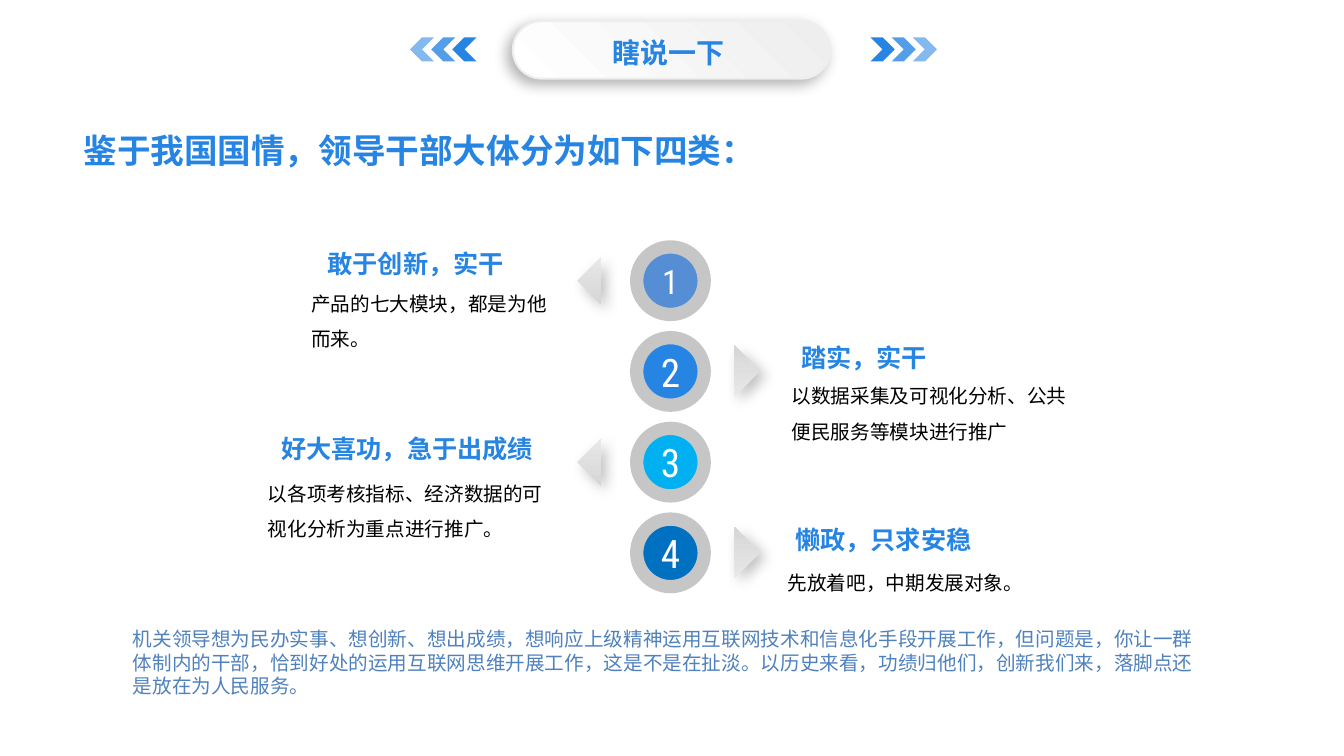
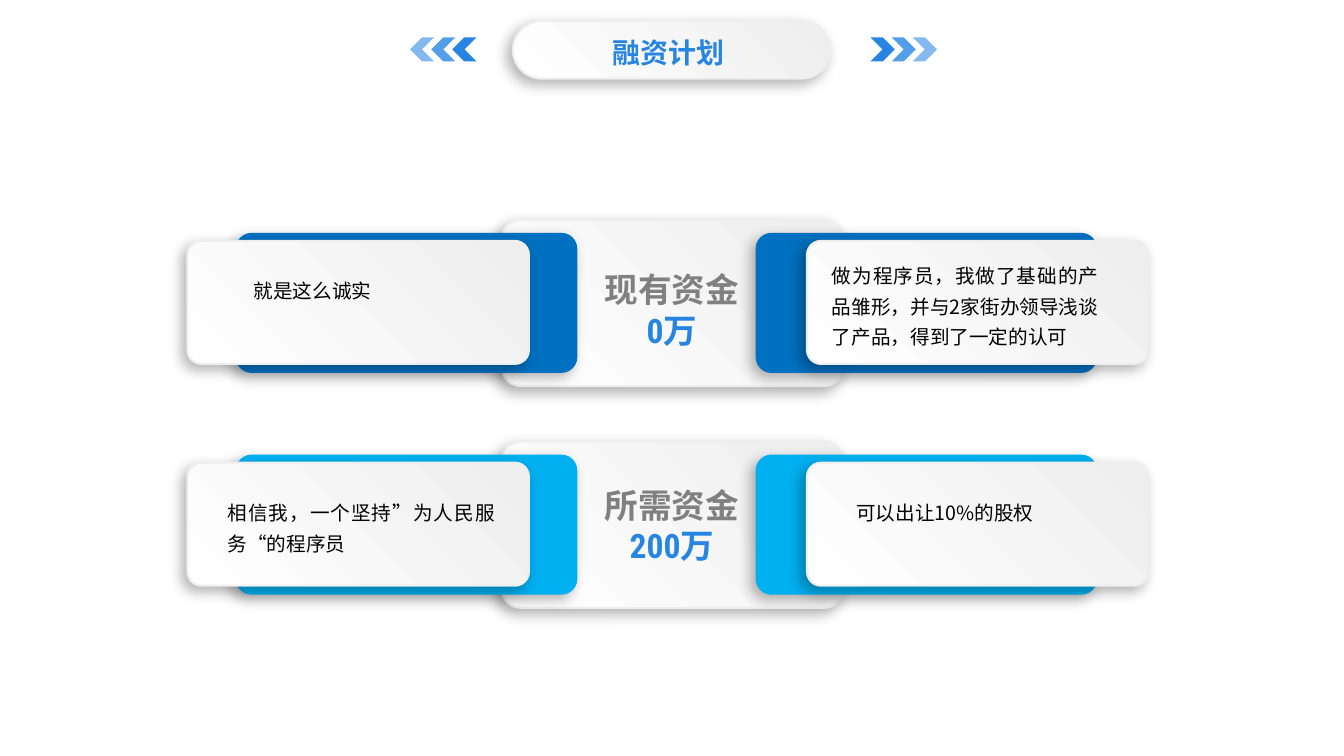
from dataclasses import dataclass

from lxml import etree
from pptx import Presentation
from pptx.dml.color import RGBColor
from pptx.enum.lang import MSO_LANGUAGE_ID
from pptx.enum.shapes import MSO_SHAPE
from pptx.enum.text import MSO_ANCHOR, MSO_AUTO_SIZE, PP_ALIGN
from pptx.oxml.ns import qn
from pptx.util import Emu, Inches, Pt

ROUND, CHEVRON = MSO_SHAPE.ROUNDED_RECTANGLE, MSO_SHAPE.CHEVRON
OVAL, WEDGE = MSO_SHAPE.OVAL, MSO_SHAPE.RIGHT_TRIANGLE
LEFT, MID, RIGHT, FULL = PP_ALIGN.LEFT, PP_ALIGN.CENTER, PP_ALIGN.RIGHT, PP_ALIGN.JUSTIFY
TOP, CENTER = MSO_ANCHOR.TOP, MSO_ANCHOR.MIDDLE
FIT, FIXED = MSO_AUTO_SIZE.SHAPE_TO_FIT_TEXT, MSO_AUTO_SIZE.NONE
CHINESE = MSO_LANGUAGE_ID.SIMPLIFIED_CHINESE


@dataclass(frozen=True)
class Theme:
    blue: str = "2684E2"
    soft: str = "558ED5"
    sky: str = "00B0F0"
    deep: str = "0070C0"
    note: str = "4F81BD"
    gray: str = "808080"
    ring: str = "C6C6C6"
    edge: str = "EEEEEE"
    white: str = "FFFFFF"
    black: str = "000000"
    card: tuple = ("EEEEEE", "FFFFFF", 135)
    wedge: tuple = ("E8E8E8", "D6D6D6", 45)
    cjk: str = "Noto Sans CJK SC"
    latin: str = "Roboto"
    narrow: str = "Roboto Condensed"
    plain: str = "Calibri"
    lead: int = 24
    title: int = 20
    head: int = 18
    body: int = 14
    digit: int = 28


T = Theme()
SLIM = (0.07, 0.04)

LEAD = "鉴于我国国情，领导干部大体分为如下四类："
NOTE = ("机关领导想为民办实事、想创新、想出成绩，想响应上级精神运用互联网技术和信息化手段开展工作，"
        "但问题是，你让一群体制内的干部，恰到好处的运用互联网思维开展工作，这是不是在扯淡。"
        "以历史来看，功绩归他们，创新我们来，落脚点还是放在为人民服务。")

# heading, its right edge and top, body text, its box, disc colour, digit size
KINDS = [
    ("敢于创新，实干", 5.1, 2.41, "产品的七大模块，都是为他而来。",
     (2.99, 2.72, 2.61, 0.81), T.soft, T.lead),
    ("踏实，实干", 9.3, 3.35, "以数据采集及可视化分析、公共便民服务等模块进行推广",
     (7.76, 3.64, 2.97, 0.81), T.blue, T.digit),
    ("好大喜功，急于出成绩", 5.39, 4.25, "以各项考核指标、经济数据的可视化分析为重点进行推广。",
     (2.56, 4.61, 3.07, 0.81), T.sky, T.digit),
    ("懒政，只求安稳", 9.74, 5.15, "先放着吧，中期发展对象。",
     (7.72, 5.5, 2.61, 0.45), T.deep, T.digit),
]

# label, amount, label top, tab colour, card texts with their boxes
FUNDS = [
    ("现有资金", "0万", 2.63, T.deep, [
        ("做为程序员，我做了基础的产品雏形，并与2家街办领导浅谈了产品，得到了一定的认可",
         (8.16, 2.5, 2.84, 1.02)),
        ("就是这么诚实", (2.42, 2.65, 2.6, 0.41))]),
    ("所需资金", "200万", 4.77, T.sky, [
        ("可以出让10%的股权", (8.4, 4.85, 2.6, 0.41)),
        ("相信我，一个坚持”为人民服务“的程序员", (2.16, 4.85, 2.85, 0.71))]),
]


def paint(fill, color):
    """Fill with one colour, or with (start, end, clockwise angle)."""
    if isinstance(color, str):
        fill.solid()
        fill.fore_color.rgb = RGBColor.from_string(color)
        return
    fill.gradient()
    fill.gradient_angle = 360 - color[2]
    for stop, shade in zip(fill.gradient_stops, color):
        stop.color.rgb = RGBColor.from_string(shade)


def fade(shape, alpha):
    shade = shape.element.spPr.find(qn("a:solidFill"))[0]
    etree.SubElement(shade, qn("a:alpha"), val=str(alpha * 1000))


def cast(shape, angle, alpha):
    """Give the shape a soft outer shadow."""
    box = shape.element.spPr.find(qn("a:effectLst"))
    glow = etree.SubElement(box, qn("a:outerShdw"), blurRad=str(Pt(10)), dist=str(Pt(5)),
                            dir=str(angle * 60000), algn="ctr", rotWithShape="0")
    shade = etree.SubElement(glow, qn("a:srgbClr"), val=T.black)
    etree.SubElement(shade, qn("a:alpha"), val=str(alpha * 1000))


def draw(shapes, kind, box, color, line=None, width=1.5, turn=0, adj=None, shadow=None):
    shape = shapes.add_shape(kind, *map(Inches, box))
    shape.shadow.inherit = False
    shape.rotation = turn
    paint(shape.fill, color)
    if line:
        paint(shape.line.fill, line)
        shape.line.width = Pt(width)
    else:
        shape.line.fill.background()
    if adj is not None:
        shape.adjustments[0] = adj
    if shadow:
        cast(shape, *shadow)
    return shape


def write(shape, *lines, size=T.body, color=T.black, font=T.cjk, bold=False, align=LEFT,
          space=None, pad=(0.1, 0.05), anchor=TOP, wrap=True, fit=FIT):
    """Fill a shape with lines, each a text or a (text, colour, font) tuple."""
    frame = shape.text_frame
    frame.word_wrap, frame.auto_size, frame.vertical_anchor = wrap, fit, anchor
    frame.margin_left = frame.margin_right = Inches(pad[0])
    frame.margin_top = frame.margin_bottom = Inches(pad[1])
    for i, line in enumerate(lines):
        text, shade, face = (line, color, font) if isinstance(line, str) else line
        para = frame.add_paragraph() if i else frame.paragraphs[0]
        para.alignment = align
        if space:
            para.line_spacing = space
        run = para.add_run()
        run.text = text
        run.font.size, run.font.bold, run.font.name = Pt(size), bold, face
        run.font.language_id = CHINESE
        run.font.color.rgb = RGBColor.from_string(shade)
        etree.SubElement(run._r.get_or_add_rPr(), qn("a:ea"), typeface=T.cjk)


def label(slide, box, *lines, **style):
    write(slide.shapes.add_textbox(*map(Inches, box)), *lines, **style)


def panel(slide, box, color=T.card, line=T.edge, adj=0.113):
    draw(slide.shapes, ROUND, box, color, line=line, adj=adj, shadow=(135, 30))


def start(deck, text, font):
    """Add a slide with the title pill and its chevrons."""
    slide = deck.slides.add_slide(deck.slide_layouts[5])
    panel(slide, (5.09, 0.21, 3.15, 0.57), adj=0.5)
    for left, step, turn in ((8.64, 0.21, 0), (4.49, -0.21, 180)):
        group = slide.shapes.add_group_shape()
        for i, alpha in enumerate((100, 79, 57)):
            mark = draw(group.shapes, CHEVRON, (left + step * i, 0.37, 0.24, 0.24),
                        T.blue, turn=turn)
            fade(mark, alpha)
    title = slide.shapes.title
    title.element.getparent().append(title.element)
    title.left, title.top, title.width, title.height = map(Inches, (5.49, 0.31, 2.3, 0.41))
    write(title, text, size=T.title, color=T.blue, font=font, bold=True, align=MID,
          pad=SLIM, fit=FIXED)
    return slide


def kinds(deck):
    slide = start(deck, "瞎说一下", T.cjk)
    for i, (head, right, top, text, box, color, size) in enumerate(KINDS):
        drop = 0.9 * i
        spot, turn = (((7.11, 2.6 + drop, 0.36, 0.36), 225) if i % 2
                      else ((5.8, 2.62 + drop, 0.33, 0.33), 45))
        draw(slide.shapes, WEDGE, spot, T.wedge, turn=turn, shadow=(45, 25))
        disc = draw(slide.shapes, OVAL, (6.32, 2.45 + drop, 0.67, 0.67), color,
                    line=T.ring, width=9.5)
        write(disc, str(i + 1), size=size, color=T.white, font=T.narrow, align=MID,
              pad=(0, 0), anchor=CENTER, fit=FIXED)
        wide = 0.25 * len(head) + 0.2
        label(slide, (right - wide, top, wide, 0.4), head, size=T.head, color=T.blue,
              bold=True, align=RIGHT, wrap=False)
        label(slide, box, text, font=T.latin, space=1.5, anchor=CENTER)
    label(slide, (0.73, 1.24, 9.29, 0.5), LEAD, size=T.lead, color=T.blue, bold=True)
    label(slide, (1.22, 6.17, 10.88, 0.81), NOTE, color=T.note, font=T.plain)


def funds(deck):
    slide = start(deck, "融资计划", T.narrow)
    for i, (name, sum_, top, color, cards) in enumerate(FUNDS):
        y = 2.18 + 2.2 * i
        panel(slide, (4.98, y, 3.39, 1.65))
        label(slide, (5.49, top, 2.36, 0.88), name, (sum_, T.blue, T.narrow),
              size=T.lead, color=T.gray, bold=True, align=MID, pad=SLIM)
        for tab, card in ((7.5, 8.01), (2.34, 1.86)):
            panel(slide, (tab, y + 0.13, 3.39, 1.39), color, line=None)
            panel(slide, (card, y + 0.21, 3.39, 1.22))
        for text, box in cards:
            label(slide, box, text, align=FULL, space=1.3)


def main():
    deck = Presentation()
    deck.slide_width, deck.slide_height = Emu(Inches(13.34)), Emu(Inches(7.5))
    kinds(deck)
    funds(deck)
    deck.save("out.pptx")


if __name__ == "__main__":
    main()
